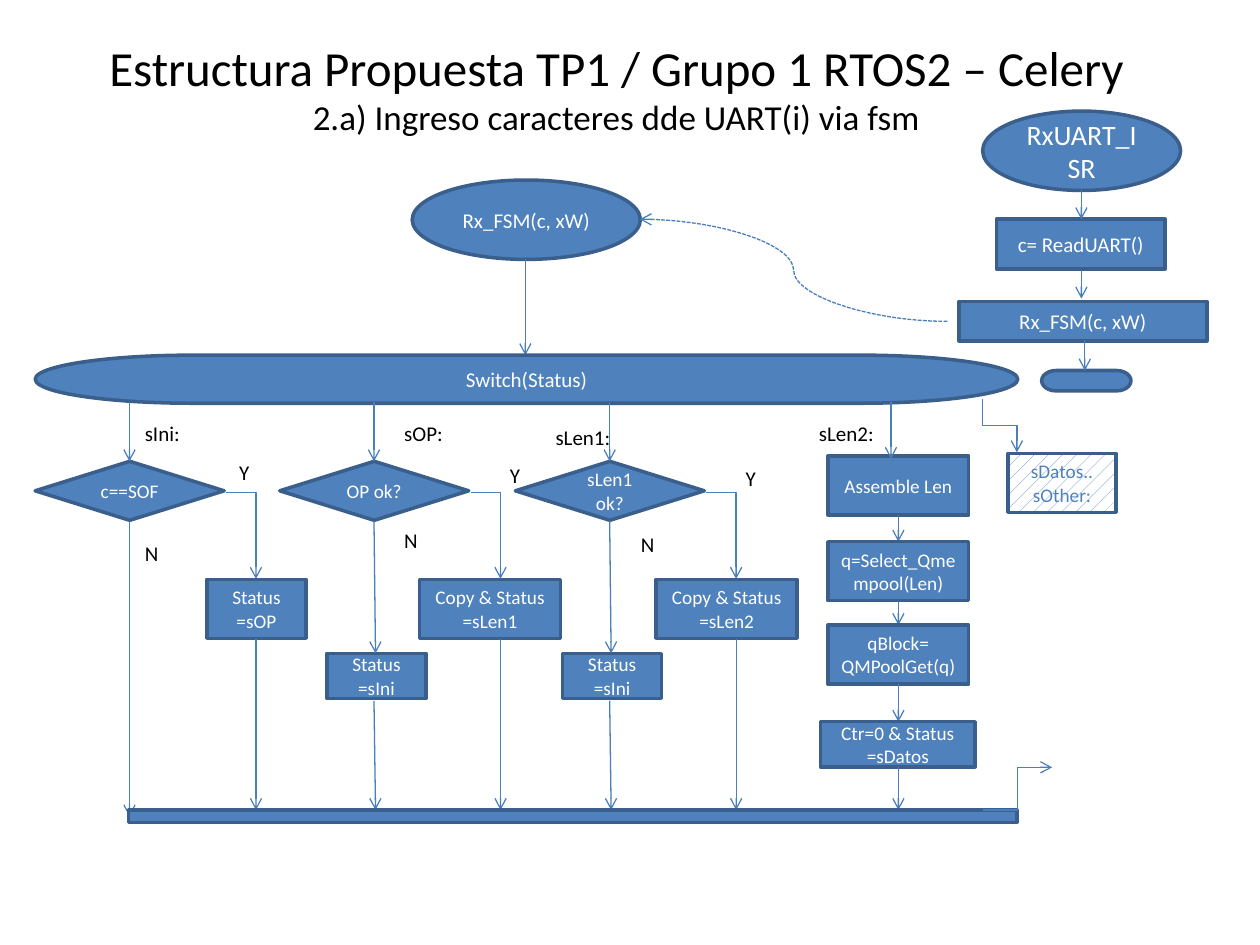
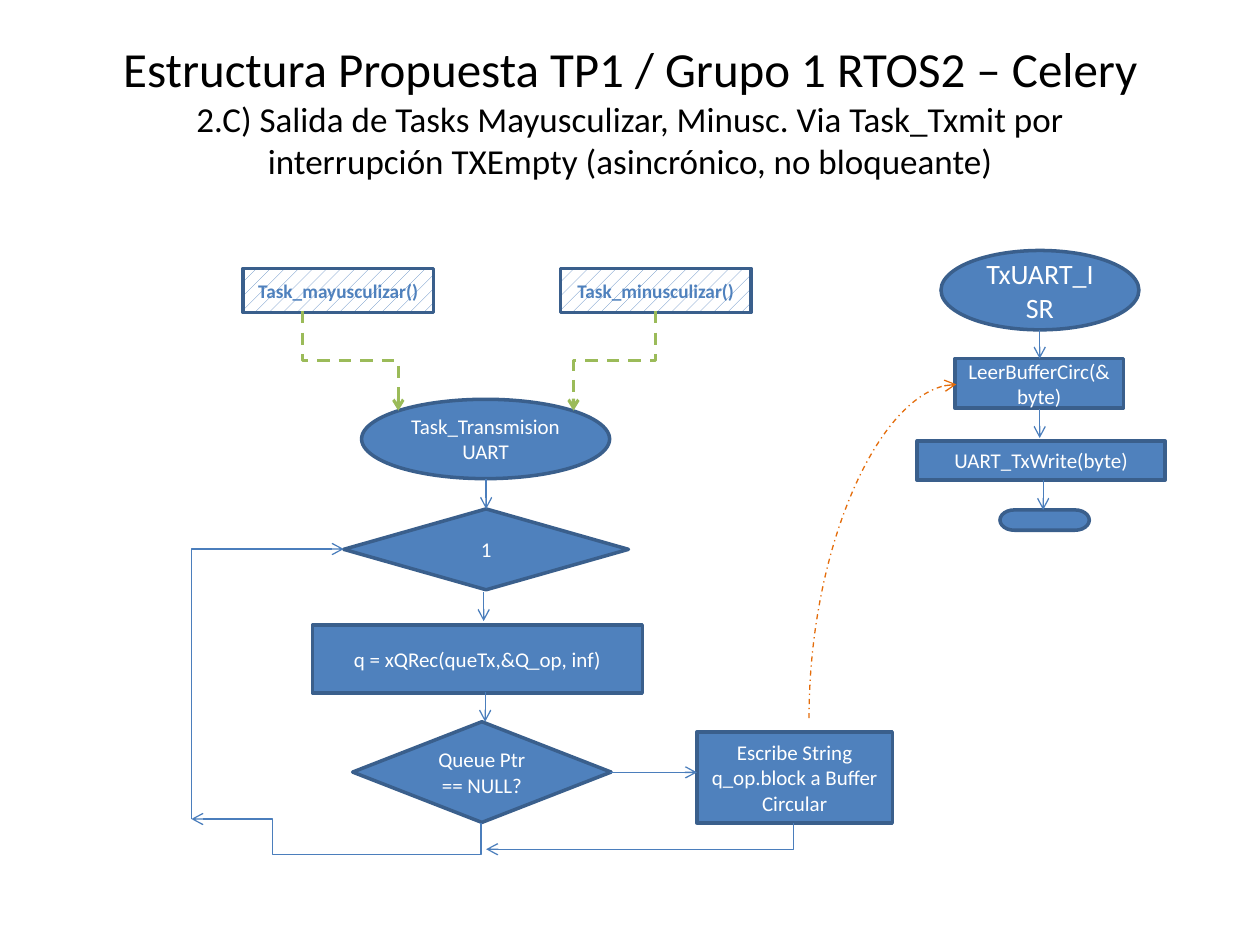
from dataclasses import dataclass
from typing import Optional

from lxml.etree import SubElement
from pptx import Presentation
from pptx.dml.color import RGBColor
from pptx.enum.dml import MSO_LINE, MSO_PATTERN
from pptx.enum.shapes import MSO_CONNECTOR, MSO_SHAPE as Preset
from pptx.enum.text import MSO_ANCHOR, MSO_AUTO_SIZE, PP_ALIGN
from pptx.oxml.ns import qn
from pptx.slide import Slide
from pptx.util import Cm, Pt

BLUE = RGBColor(0x4F, 0x81, 0xBD)
BORDER = RGBColor(0x3A, 0x5F, 0x8C)
ARROW = RGBColor(0x4B, 0x7E, 0xBC)
GREEN = RGBColor(0x9B, 0xBB, 0x59)
ORANGE = RGBColor(0xE4, 0x6C, 0x0A)
WHITE = RGBColor(0xFF, 0xFF, 0xFF)
BLACK = RGBColor(0, 0, 0)
FONT = "Calibri"
HEADING = "Estructura Propuesta TP1 / Grupo 1 RTOS2 – Celery"

OVAL = Preset.FLOWCHART_CONNECTOR
PROCESS = Preset.FLOWCHART_PROCESS
DECISION = Preset.FLOWCHART_DECISION
TERMINATOR = Preset.FLOWCHART_TERMINATOR
RECT = Preset.RECTANGLE

SWITCH_BOTTOM = 8.1
BAR_TOP = 16.33


@dataclass(frozen=True)
class Node:
    """A flowchart box, with lengths in centimetres."""
    preset: Preset
    left: float
    top: float
    width: float
    height: float
    text: str = ""
    size: int = 12
    hatched: bool = False
    bold: bool = False


@dataclass(frozen=True)
class Arrow:
    """An arrow in centimetres; a downward one leaves its start vertically."""
    x1: float
    y1: float
    x2: float
    y2: float
    geometry: str = "line"
    downward: bool = False
    color: RGBColor = ARROW
    width: float = 0.75
    dash: Optional[MSO_LINE] = None
    adjustments: tuple[float, ...] = ()


@dataclass(frozen=True)
class Label:
    text: str
    left: float
    top: float
    width: float = 0.56


@dataclass(frozen=True)
class Branch:
    """One state of the switch: its test, and the action taken on Y."""
    left: float
    test: str
    action: str
    action_left: float
    action_width: float
    labels: tuple[Label, ...]
    resets: bool = True


def add_title(page: Slide, left: float, top: float, subtitle: str) -> None:
    title = page.shapes.title
    title.left, title.top, title.width, title.height = Cm(left), Cm(top), Cm(21.59), Cm(4.09)
    frame = title.text_frame
    frame.auto_size = MSO_AUTO_SIZE.NONE
    frame.vertical_anchor = MSO_ANCHOR.MIDDLE
    para = frame.paragraphs[0]
    para.alignment = PP_ALIGN.CENTER
    para.font.name = FONT
    para.font.color.rgb = BLACK
    for text, size in ((HEADING, 28), (subtitle, 20)):
        if para.runs:
            para.add_line_break()
        span = para.add_run()
        span.text = text
        span.font.size = Pt(size)


def add_node(page: Slide, node: Node) -> None:
    box = page.shapes.add_shape(node.preset, Cm(node.left), Cm(node.top),
                                Cm(node.width), Cm(node.height))
    box.shadow.inherit = False
    box.line.color.rgb = BORDER
    box.line.width = Pt(2)
    if node.hatched:
        box.fill.patterned()
        box.fill.pattern = MSO_PATTERN.PERCENT_10
        box.fill.fore_color.rgb = BLUE
        box.fill.back_color.rgb = WHITE
    else:
        box.fill.solid()
        box.fill.fore_color.rgb = BLUE
    if not node.text:
        return
    frame = box.text_frame
    frame.word_wrap = True
    frame.vertical_anchor = MSO_ANCHOR.MIDDLE
    frame.text = node.text
    for para in frame.paragraphs:
        para.alignment = PP_ALIGN.CENTER
        para.font.name = FONT
        para.font.size = Pt(node.size)
        para.font.bold = node.bold
        para.font.color.rgb = BLUE if node.hatched else WHITE


def add_arrow(page: Slide, arrow: Arrow) -> None:
    """Draw an arrow; a downward one is a horizontal-first one turned by 90°."""
    x1, y1, x2, y2 = arrow.x1, arrow.y1, arrow.x2, arrow.y2
    if arrow.downward:
        middle_x, middle_y = (x1 + x2) / 2, (y1 + y2) / 2
        half_width, half_height = (y2 - y1) / 2, (x1 - x2) / 2
        x1, x2 = middle_x - half_width, middle_x + half_width
        y1, y2 = middle_y - half_height, middle_y + half_height
    connector = page.shapes.add_connector(MSO_CONNECTOR.STRAIGHT, Cm(x1), Cm(y1), Cm(x2), Cm(y2))
    properties = connector._element.spPr
    if arrow.downward:
        properties.find(qn("a:xfrm")).set("rot", "5400000")
    geometry = properties.find(qn("a:prstGeom"))
    geometry.set("prst", arrow.geometry)
    for number, value in enumerate(arrow.adjustments, start=1):
        SubElement(geometry.find(qn("a:avLst")), qn("a:gd"),
                   name=f"adj{number}", fmla=f"val {round(value * 100000)}")
    connector.line.color.rgb = arrow.color
    connector.line.width = Pt(arrow.width)
    if arrow.dash is not None:
        connector.line.dash_style = arrow.dash
    SubElement(properties.find(qn("a:ln")), qn("a:tailEnd"), type="arrow")
    SubElement(properties, qn("a:effectLst"))


def add_label(page: Slide, label: Label) -> None:
    box = page.shapes.add_textbox(Cm(label.left), Cm(label.top), Cm(label.width), Cm(0.76))
    box.text_frame.word_wrap = True
    para = box.text_frame.paragraphs[0]
    para.text = label.text
    para.font.name = FONT
    para.font.size = Pt(12)
    para.font.color.rgb = BLACK


def draw(page: Slide, *items: Node | Arrow | Label) -> None:
    drawers = {Node: add_node, Arrow: add_arrow, Label: add_label}
    for item in items:
        drawers[type(item)](page, item)


def add_interrupt(page: Slide, left: float, top: float, name: str, first: str, second: str) -> None:
    """Draw the column of an interrupt routine, with its oval at left, top."""
    axis = left + 1.99
    draw(page,
         Node(OVAL, left, top, 3.99, 1.6, name, 16),
         Node(PROCESS, left + 0.28, top + 2.18, 3.4, 1, first),
         Arrow(axis, top + 1.6, axis, top + 2.18),
         Node(PROCESS, left - 0.48, top + 3.84, 5, 0.79, second),
         Arrow(axis, top + 3.2, axis, top + 3.78),
         Node(TERMINATOR, left + 1.19, top + 5.23, 1.8, 0.41),
         Arrow(axis + 0.07, top + 4.62, axis + 0.07, top + 5.23))


def add_branch(page: Slide, branch: Branch) -> None:
    axis = branch.left + 1.9
    yes_axis = branch.left + 4.45
    draw(page,
         Node(DECISION, branch.left, 9.3, 3.81, 1.19, branch.test, 11),
         Arrow(axis, SWITCH_BOTTOM, axis, 9.3),
         Node(RECT, branch.action_left, 11.68, branch.action_width, 1.19, branch.action, 11),
         Arrow(branch.left + 3.85, 9.93, yes_axis, 11.67, "bentConnector2"),
         Arrow(yes_axis, 12.88, yes_axis, BAR_TOP),
         *branch.labels)
    if branch.resets:
        draw(page,
             Node(RECT, branch.left + 0.95, 13.17, 2, 0.91, "Status =sIni", 11),
             Arrow(axis, 10.5, axis + 0.03, 13.17),
             Arrow(axis, 14.13, axis + 0.03, BAR_TOP))
    else:
        draw(page, Arrow(axis, 10.5, axis, 16.46))


def add_length_steps(page: Slide) -> None:
    """Draw the chain of steps of the state sLen2."""
    axis = 18.11
    steps = [
        Node(RECT, 16.69, 9.19, 2.84, 1.19, "Assemble Len", 11),
        Node(RECT, 16.69, 10.92, 2.84, 1.19, "q=Select_Qmempool(Len)", 11),
        Node(RECT, 16.69, 12.6, 2.84, 1.19, "qBlock= QMPoolGet(q)", 11),
        Node(RECT, 16.54, 14.55, 3.12, 0.91, "Ctr=0 & Status =sDatos", 11),
    ]
    next_tops = [step.top for step in steps[1:]] + [BAR_TOP]
    for step, next_top in zip(steps, next_tops):
        draw(page, step, Arrow(axis, step.top + step.height, axis, next_top))
    draw(page, Label("sLen2:", 16.26, 8.36, 1.85), Arrow(17.96, SWITCH_BOTTOM, 17.96, 9.25))


def build_reception(page: Slide) -> None:
    add_title(page, 1.63, -0.28, "2.a) Ingreso caracteres dde UART(i) via fsm")
    add_interrupt(page, 19.81, 2.24, "RxUART_ISR", "c= ReadUART()", "Rx_FSM(c, xW)")
    draw(page,
         Node(OVAL, 8.31, 3.63, 4.6, 1.6, "Rx_FSM(c, xW)"),
         Arrow(10.59, 5.23, 10.59, 7.16),
         Node(TERMINATOR, 0.71, 7.16, 19.81, 0.97, "Switch(Status)"),
         Arrow(19.1, 6.48, 12.9, 4.42, "curvedConnector3", dash=MSO_LINE.SQUARE_DOT))
    branches = (
        Branch(0.71, "c==SOF", "Status =sOP", 4.17, 2,
               (Label("sIni:", 2.67, 8.36, 1.45), Label("Y", 4.57, 9.14),
                Label("N", 2.67, 10.77)), resets=False),
        Branch(5.64, "OP ok?", "Copy & Status =sLen1", 8.46, 2.84,
               (Label("sOP:", 7.9, 8.36, 1.45), Label("Y", 10.03, 9.19),
                Label("N", 7.9, 10.52))),
        Branch(10.39, "sLen1 ok?", "Copy & Status =sLen2", 13.23, 2.84,
               (Label("sLen1:", 10.95, 8.43, 1.75), Label("Y", 14.78, 9.27),
                Label("N", 12.67, 10.59))),
    )
    for branch in branches:
        add_branch(page, branch)
    add_length_steps(page)
    draw(page,
         Node(RECT, 2.59, BAR_TOP, 17.91, 0.25),
         Arrow(19.81, 8.05, 20.5, 9.12, "bentConnector3", downward=True),
         Arrow(19.81, BAR_TOP, 21.21, 15.47, "bentConnector3"),
         Node(RECT, 20.32, 9.14, 2.18, 1.19, "sDatos..\nsOther:", 11, hatched=True))


def build_transmission(page: Slide) -> None:
    add_title(page, 1.91, 0.18, "2.C) Salida de Tasks Mayusculizar, Minusc. Via Task_Txmit por "
                                "interrupción TXEmpty (asincrónico, no bloqueante)")
    add_interrupt(page, 18.97, 5.05, "TxUART_ISR", "LeerBufferCirc(&byte)", "UART_TxWrite(byte)")
    draw(page, Node(OVAL, 7.29, 8.05, 5, 1.6, "Task_TransmisionUART"))
    for name, left, start, end in (("Task_mayusculizar()", 4.9, 6.1, 8.03),
                                   ("Task_minusculizar()", 11.3, 13.21, 11.56)):
        draw(page,
             Node(RECT, left, 5.41, 3.84, 0.89, name, 11, hatched=True, bold=True),
             Arrow(start, 6.27, end, 8.28, "bentConnector3", downward=True,
                   color=GREEN, width=1.75, dash=MSO_LINE.DASH))
    draw(page,
         Node(RECT, 6.3, 12.6, 6.65, 1.37, "q = xQRec(queTx,&Q_op, inf)"),
         Node(DECISION, 6.93, 10.26, 5.74, 1.63, "1"),
         Node(DECISION, 7.11, 14.55, 5.21, 2.03, "Queue Ptr == NULL?"),
         Node(RECT, 14.05, 14.76, 3.94, 1.83, "Escribe String q_op.block a Buffer Circular"),
         Arrow(9.8, 9.65, 9.8, 10.26),
         Arrow(9.75, 11.94, 9.75, 12.52),
         Arrow(9.78, 13.94, 9.78, 14.55),
         Arrow(12.29, 15.57, 14.05, 15.57),
         Arrow(9.7, 16.59, 3.86, 16.51, "bentConnector4", downward=True,
               adjustments=(-7.87, 0.72)),
         Arrow(3.86, 16.51, 6.93, 11.07, "bentConnector2", downward=True),
         Arrow(16, 16.59, 9.8, 17.12, "bentConnector2", downward=True),
         Arrow(16.31, 14.48, 19.28, 7.75, "curvedConnector2", downward=True,
               color=ORANGE, dash=MSO_LINE.DASH_DOT))


def main() -> None:
    deck = Presentation()
    deck.slide_width, deck.slide_height = Cm(25.4), Cm(19.05)
    title_only = deck.slide_layouts[5]
    for build in (build_reception, build_transmission):
        build(deck.slides.add_slide(title_only))
    deck.save("out.pptx")


if __name__ == "__main__":
    main()
